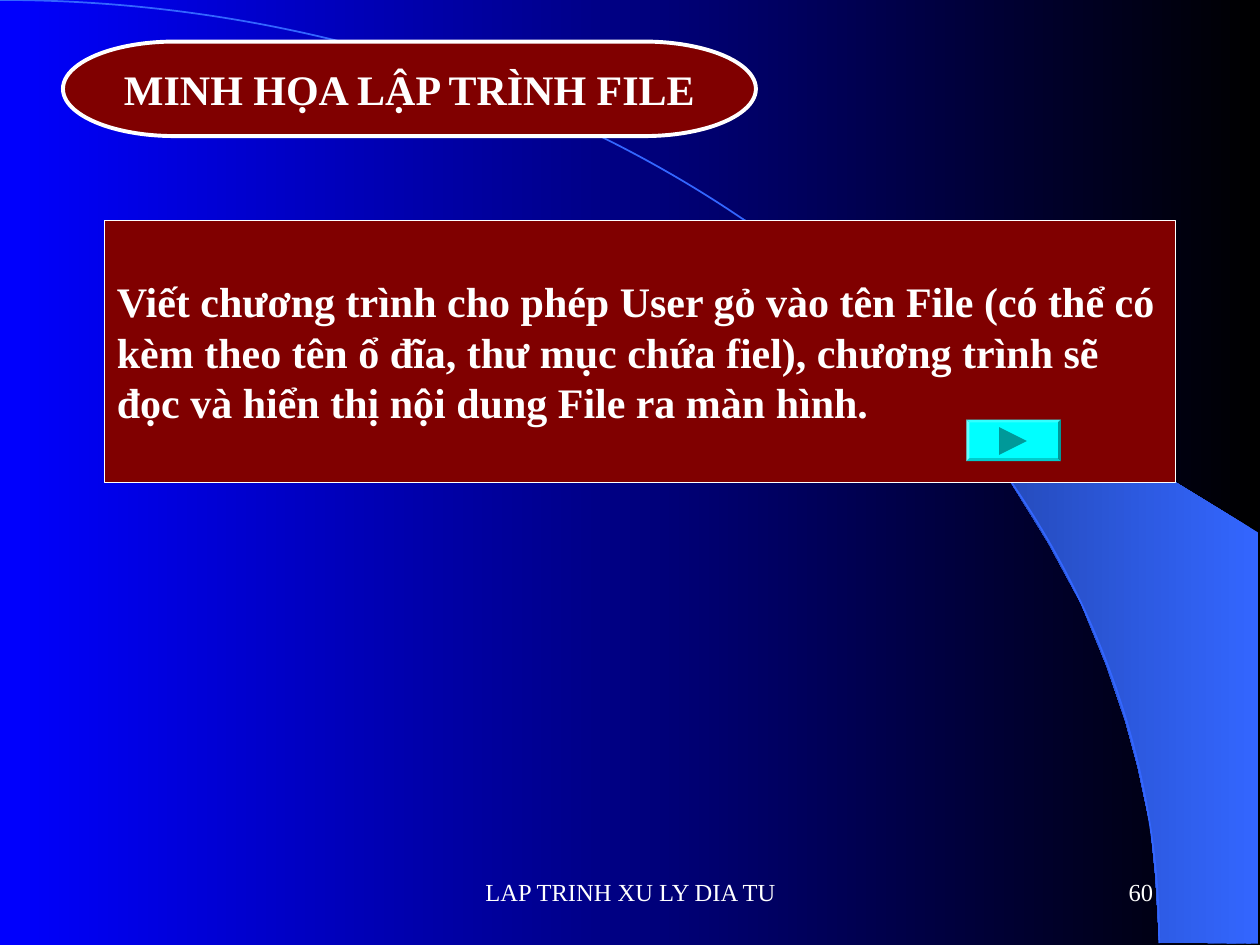
from dataclasses import dataclass
from typing import Optional

from pptx import Presentation
from pptx.dml.color import RGBColor
from pptx.dml.fill import FillFormat
from pptx.enum.shapes import MSO_SHAPE as Preset
from pptx.enum.text import MSO_ANCHOR as Anchor, PP_ALIGN as Align
from pptx.shapes.autoshape import Shape
from pptx.slide import Slide
from pptx.util import Inches, Pt

COLORS = {
    "black": "000000",
    "blue": "0000FF",
    "sky": "3366FF",
    "navy": "172F75",
    "maroon": "800000",
    "white": "FFFFFF",
    "cyan": "00FFFF",
    "teal": "009999",
}
FONT = "Times New Roman"

BAND_POINTS = [
    (9.2, 7.48), (9.99, 7.49), (9.99, 4.23), (5.89, 1.73), (6.24, 1.99),
    (6.53, 2.22), (6.85, 2.5), (7.16, 2.8), (7.62, 3.3), (8.03, 3.84),
    (8.32, 4.31), (8.58, 4.79), (8.78, 5.28), (8.93, 5.72), (9.03, 6.09),
    (9.13, 6.56), (9.17, 6.96),
]


@dataclass
class Area:
    left: float
    top: float
    width: float
    height: float

    def lengths(self) -> list[int]:
        return [Inches(n) for n in (self.left, self.top, self.width, self.height)]


@dataclass
class Panel:
    preset: Preset
    area: Area
    fill: Optional[str] = None
    line: Optional[str] = None
    line_width: float = 1


@dataclass
class Label:
    text: str
    size: int
    align: Align
    bold: bool = False
    wrap: bool = True


def color(name: str) -> RGBColor:
    return RGBColor.from_string(COLORS[name])


def set_gradient(fill: FillFormat, right: str, left: str) -> None:
    fill.gradient()
    fill.gradient_angle = 180
    for stop, position, name in zip(fill.gradient_stops, (0, 1), (right, left)):
        stop.position = position
        stop.color.rgb = color(name)


def draw_panel(page: Slide, panel: Panel) -> Shape:
    shape = page.shapes.add_shape(panel.preset, *panel.area.lengths())
    shape.shadow.inherit = False
    if panel.fill:
        shape.fill.solid()
        shape.fill.fore_color.rgb = color(panel.fill)
    else:
        shape.fill.background()
    if panel.line:
        shape.line.color.rgb = color(panel.line)
        shape.line.width = Pt(panel.line_width)
    else:
        shape.line.fill.background()
    return shape


def write_label(shape: Shape, label: Label) -> None:
    frame = shape.text_frame
    frame.text = label.text
    frame.word_wrap = label.wrap
    frame.vertical_anchor = Anchor.MIDDLE
    para = frame.paragraphs[0]
    para.alignment = label.align
    for span in para.runs:
        span.font.name = FONT
        span.font.size = Pt(label.size)
        span.font.bold = label.bold
        span.font.color.rgb = color("white")


def draw_backdrop(page: Slide) -> None:
    set_gradient(page.background.fill, "black", "blue")
    builder = page.shapes.build_freeform(
        *(Inches(n) for n in BAND_POINTS[0]), scale=1.0
    )
    builder.add_line_segments([(Inches(x), Inches(y)) for x, y in BAND_POINTS[1:]])
    band = builder.convert_to_shape()
    band.shadow.inherit = False
    band.line.fill.background()
    set_gradient(band.fill, "sky", "navy")
    draw_panel(page, Panel(Preset.ARC, Area(-9.2, 0, 18.4, 14.97), line="sky"))


def draw_play_button(page: Slide) -> None:
    button = draw_panel(page, Panel(Preset.BEVEL, Area(7.67, 3.33, 0.75, 0.33), "cyan"))
    button.adjustments[0] = 0.07
    arrow = draw_panel(
        page, Panel(Preset.ISOSCELES_TRIANGLE, Area(7.93, 3.39, 0.22, 0.22), "teal")
    )
    arrow.rotation = 90


def main() -> None:
    deck = Presentation()
    deck.slide_width, deck.slide_height = Inches(10), Inches(7.5)
    page = deck.slides.add_slide(deck.slide_layouts[6])
    draw_backdrop(page)

    title = Panel(
        Preset.FLOWCHART_TERMINATOR, Area(0.5, 0.33, 5.5, 0.75), "maroon", "white", 2.25
    )
    task = Panel(Preset.RECTANGLE, Area(0.83, 1.75, 8.5, 2.08), "maroon", "white", 0.75)
    task_lines = [
        "Viết chương trình cho phép User gỏ vào tên File (có thể có",
        "kèm theo tên ổ đĩa, thư mục chứa fiel), chương trình sẽ",
        "đọc và hiển thị nội dung File ra màn hình.",
    ]
    for panel, text, align in (
        (title, "MINH HỌA LẬP TRÌNH FILE", Align.CENTER),
        (task, "\v".join(task_lines), Align.LEFT),
    ):
        write_label(draw_panel(page, panel), Label(text, 24, align, True, False))
    draw_play_button(page)

    for area, text, align in (
        (Area(3.42, 6.83, 3.17, 0.5), "LAP TRINH XU LY DIA TU", Align.CENTER),
        (Area(7.17, 6.83, 2.08, 0.5), "60", Align.RIGHT),
    ):
        box = page.shapes.add_textbox(*area.lengths())
        write_label(box, Label(text, 14, align))

    deck.save("out.pptx")


if __name__ == "__main__":
    main()
